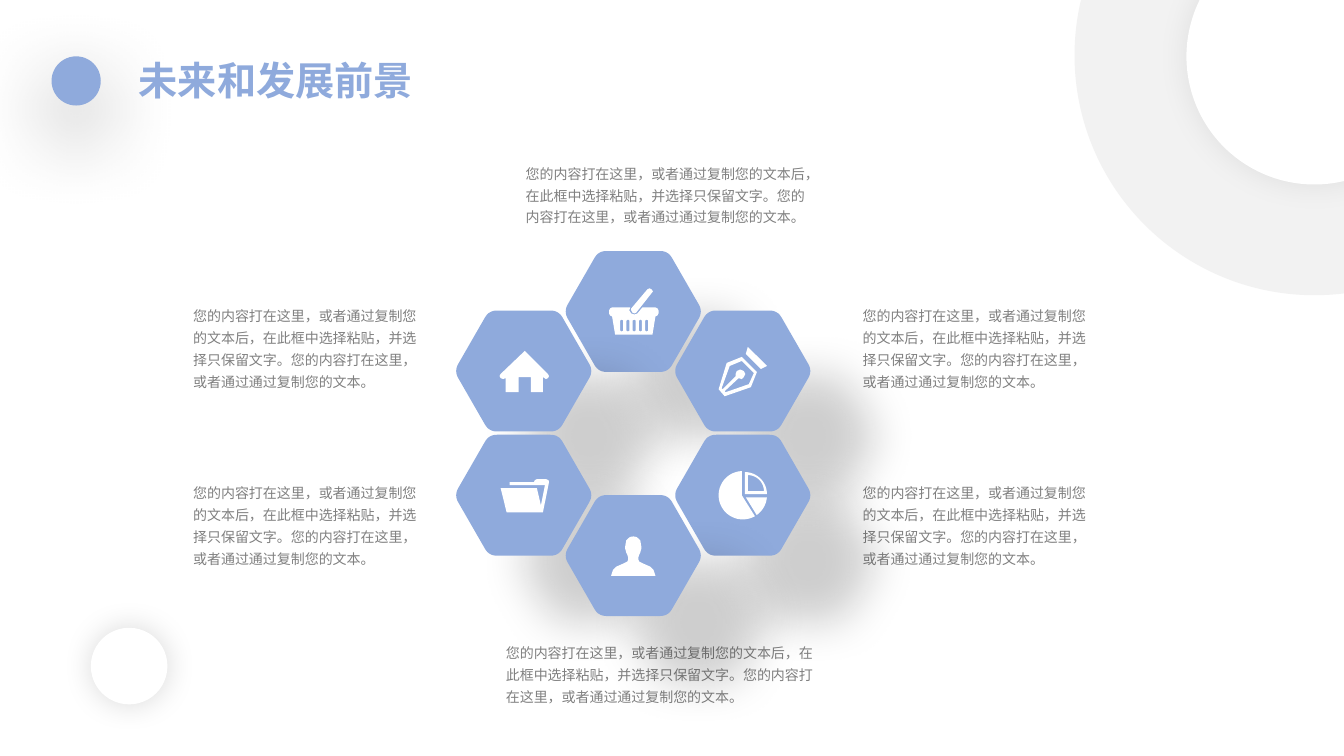
from math import cos, hypot, radians, sin
from lxml import etree
from pptx import Presentation, util as u
from pptx.dml import color as col
from pptx.enum import shapes, text
from pptx.oxml import ns

FONT = "Noto Sans CJK SC"
BLUE, GREY, WHITE = "8FAADC", "808080", "FFFFFF"
UNIT = 0.0254

deck = Presentation()
deck.slide_width, deck.slide_height = u.Cm(33.87), u.Cm(19.05)
slide = deck.slides.add_slide(deck.slide_layouts[6])


def paint(fill, tint):
    fill.solid()
    fill.fore_color.rgb = col.RGBColor.from_string(tint)


def finish(shape, tint, shade):
    paint(shape.fill, tint)
    shape.line.fill.background()
    shape.shadow.inherit = False
    if shade:
        tone, alpha, blur, dist, angle = shade
        glow = etree.SubElement(
            shape._element.spPr.find(ns.qn("a:effectLst")), ns.qn("a:outerShdw"),
            blurRad=str(u.Pt(blur)), dist=str(u.Pt(dist)),
            dir=str(angle * 60000), algn="ctr", rotWithShape="0")
        dye = etree.SubElement(glow, ns.qn("a:srgbClr"), val=tone)
        etree.SubElement(dye, ns.qn("a:alpha"), val=str(alpha * 1000))


discs = [
    (27.08, -4.65, 12.09, "F2F2F2", None),
    (29.9, -1.8, 6.45, WHITE, ("000000", 7, 22, 0, 0)),
    (1.3, 1.42, 1.24, BLUE, ("000000", 40, 60, 20, 90)),
    (2.29, 15.82, 1.93, WHITE, ("000000", 15, 22, 0, 0)),
]
for left, top, size, tint, shade in discs:
    disc = slide.shapes.add_shape(
        shapes.MSO_SHAPE.OVAL, u.Cm(left), u.Cm(top), u.Cm(size), u.Cm(size))
    finish(disc, tint, shade)

title = "未来和发展前景"
blurb = ("您的内容打在这里，或者通过复制您的文本后，在此框中选择粘贴，并选择只保留文字。"
         "您的内容打在这里，或者通过通过复制您的文本。")
boxes = [(3.25, 1.3, 9.04, 1.45, title, 28, BLUE, True, 1.0)]
for left, top, wide, high in [
    (13.0, 3.91, 7.72, 1.88), (12.5, 16.0, 8.23, 1.88),
    (21.49, 7.5, 6.22, 2.41), (21.49, 11.97, 6.22, 2.41),
    (4.62, 7.5, 6.38, 2.41), (4.62, 11.97, 6.38, 2.41),
]:
    boxes.append((left, top, wide, high, blurb, 10, GREY, False, 1.3))
for left, top, wide, high, words, size, tint, bold, space in boxes:
    box = slide.shapes.add_textbox(u.Cm(left), u.Cm(top), u.Cm(wide), u.Cm(high))
    frame = box.text_frame
    frame.word_wrap = True
    frame.auto_size = text.MSO_AUTO_SIZE.SHAPE_TO_FIT_TEXT
    frame.text = words
    para = frame.paragraphs[0]
    para.line_spacing = space
    run = para.runs[0]
    run.font.size, run.font.bold, run.font.name = u.Pt(size), bold, FONT
    paint(run.font.fill, tint)
    etree.SubElement(run._r.get_or_add_rPr(), ns.qn("a:ea"), typeface=FONT)

tips = [(69, 0), (34.5, 60), (-34.5, 60), (-69, 0), (-34.5, -60), (34.5, -60)]
hexa = []
for i, (x, y) in enumerate(tips):
    ends = []
    for a, b in (tips[i - 1], tips[(i + 1) % 6]):
        part = 8 / hypot(a - x, b - y)
        ends.append((x + (a - x) * part, y + (b - y) * part))
    (a, b), (c, d) = ends
    for k in range(9):
        t = k / 8
        p, q, r = (1 - t) ** 2, 2 * t * (1 - t), t ** 2
        hexa.append((p * a + q * x + r * c, p * b + q * y + r * d))

ring = [(cos(radians(a)), sin(radians(a))) for a in range(0, 361, 5)]

basket = [
    [(1, 2), (-1, 1), (-2, -1), (-2, -3), (14, -22), (16, -23), (18, -22),
     (19.5, -20), (18, -18), (3, 1)],
    [(25, -1), (25, 2), (24, 4), (22, 5), (19, 23), (-18, 23), (-21, 5),
     (-23, 4), (-24, 2), (-24, -1), (-23, -3), (-21, -4), (-3, -4), (-4, -1),
     (-2, 2), (1, 3), (4, 2), (9, -4), (22, -4), (24, -3)],
]
for i in range(5):
    x = -13 + 6.2 * i
    basket.append([(x, 9), (x + 1.5, 8), (x + 3, 9), (x + 3, 19),
                   (x + 1.5, 20), (x, 19)])

pen = [
    [(5, -24), (24, -5), (18, -2), (3, -17)],
    [(14, 1), (-1, -14), (-16, -8), (-24, 18), (-18, 25), (8, 16)],
    [(-17, 21), (-18, 20), (-4, 7), (-1, 8), (1, 6), (2.5, 3), (1, 0),
     (-2.5, -1.5), (-6, 0), (-7, 2.5), (-7, 5), (-20, 18), (-21, 17),
     (-13, -5), (-1, -10), (11, 2), (6, 13)],
]
house = [
    [(24, 7), (22, 8), (19, 6), (19, 21), (7, 21), (7, 6), (-5, 6), (-5, 21),
     (-18, 21), (-18, 7), (-20.5, 8), (-23, 7), (-24, 5), (-23, 3), (1, -20),
     (24, 3), (25, 5)],
]
pie = [
    [(-1, 0)] + [(24 * x, 24 * y) for x, y in ring[12:54]] + [(-1, -24)],
    [(2, -1)] + [(2 + 22 * x, 22 * y - 1) for x, y in ring[54:]],
    [(5, -4)] + [(5 + 16 * x, 16 * y - 4) for x, y in ring[54:]],
    [(3, 2)] + [(24 * x, 24 * y) for x, y in ring[1:12]],
]
folder = [
    [(22, -16), (13, -16), (11, -15), (10, -13), (-14, -13), (-14, -10),
     (21, -10), (17, 10), (13, -7), (-23, -7), (-17, 17), (19, 17), (25, -13),
     (24.5, -15)],
]
half = [(0, -19), (3, -18.5), (5, -17), (7, -15), (8, -9), (8, -7), (7, -3),
        (6, -1), (5, 2), (5, 4), (6, 6), (10, 8), (17, 11), (20, 14), (22, 20)]
person = [half + [(-x, y) for x, y in half[:0:-1]]]

mid, step = 15.96, 2.76
cells = [
    (mid, 7.85, basket), (mid + step, 9.35, pen), (mid - step, 9.35, house),
    (mid + step, 12.48, pie), (mid - step, 12.48, folder), (mid, 14.0, person),
]
for left, top, icon in cells:
    for loops, tint, shade in [
        ([hexa], BLUE, ("0D0D0D", 20, 33, 66, 45)), (icon, WHITE, None),
    ]:
        form = None
        for loop in loops:
            dots = [(u.Cm(left + x * UNIT), u.Cm(top + y * UNIT)) for x, y in loop]
            if form is None:
                form = slide.shapes.build_freeform(*dots[0])
            else:
                form.move_to(*dots[0])
            form.add_line_segments(dots[1:], close=True)
        finish(form.convert_to_shape(), tint, shade)

deck.save("out.pptx")
